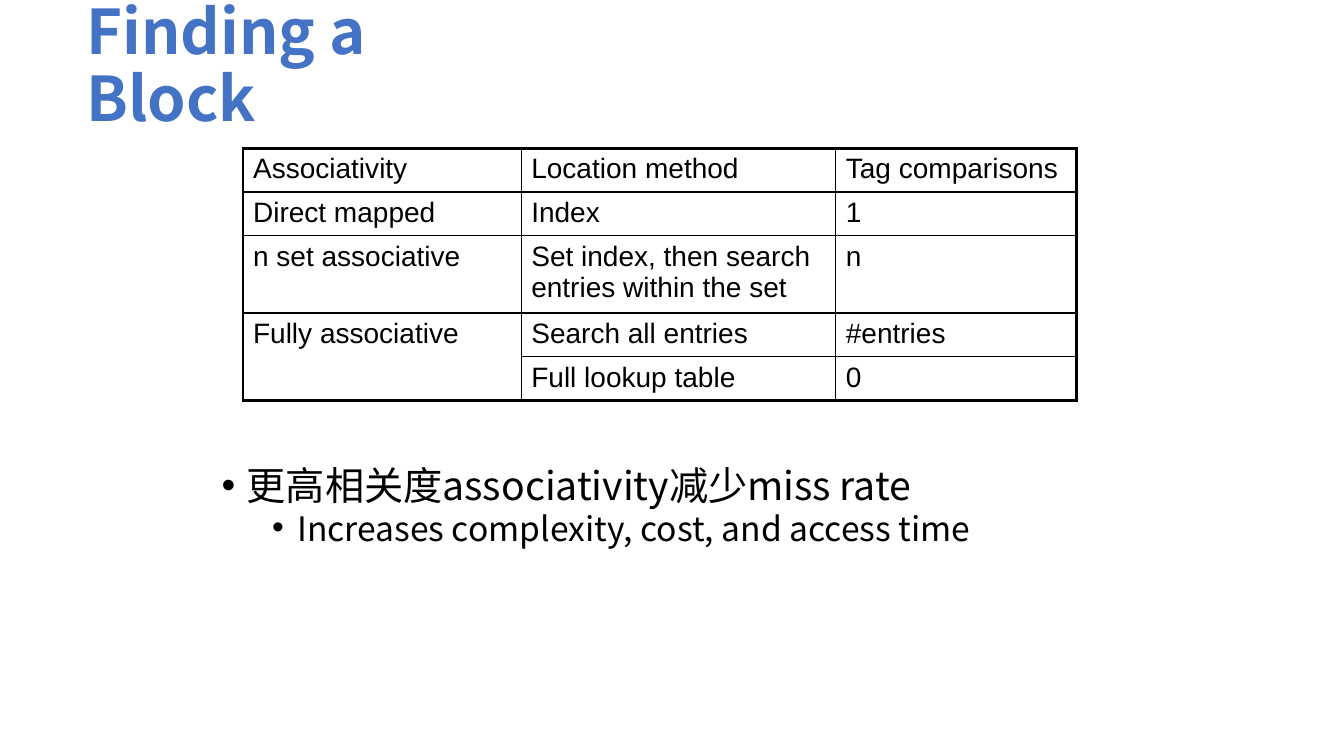
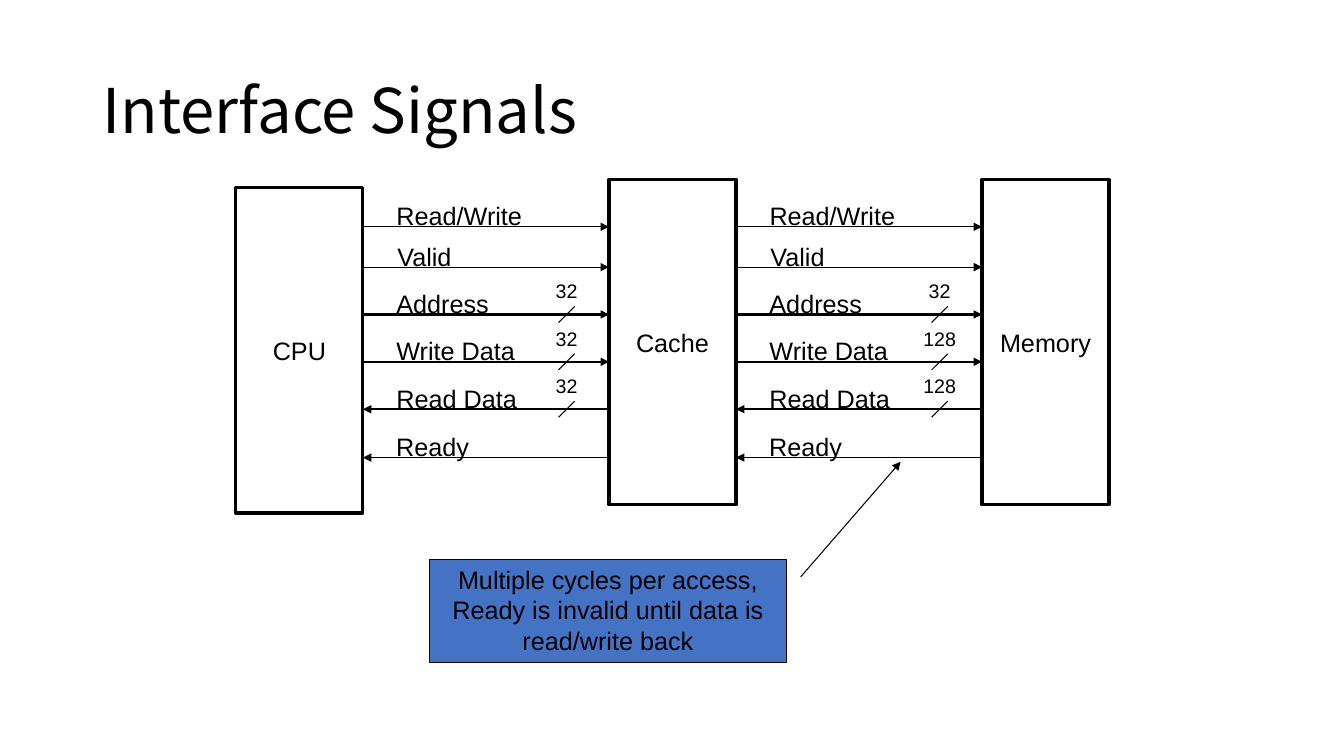
"""Builds two slides about cache lookup and cache interface signals."""
from dataclasses import dataclass

from lxml import etree
from pptx import Presentation
from pptx import util as u
from pptx.dml.color import RGBColor
from pptx.enum import shapes, text
from pptx.oxml.ns import qn


@dataclass(frozen=True)
class Theme:
    """Holds the colours, fonts, type sizes and line widths."""
    ink: RGBColor = RGBColor(0, 0, 0)
    accent: RGBColor = RGBColor(0x44, 0x72, 0xC4)
    heading_font: str = "Noto Sans CJK SC"
    plain_font: str = "Arial"
    title: int = 44
    bullet: int = 28
    sub_bullet: int = 24
    cell: int = 20
    label: int = 18
    bits: int = 14
    thin: float = 0.75
    grid: float = 1
    bus: float = 1.5
    frame: float = 2.25


THEME = Theme()
LABEL_FRAME = {"word_wrap": False, "auto_size": text.MSO_AUTO_SIZE.SHAPE_TO_FIT_TEXT}
NODE_FRAME = {"word_wrap": False, "vertical_anchor": text.MSO_ANCHOR.MIDDLE}
NOTE_FRAME = {"word_wrap": True, "vertical_anchor": text.MSO_ANCHOR.TOP}
TITLE_FRAME = {"word_wrap": True, "vertical_anchor": text.MSO_ANCHOR.MIDDLE}
CENTRED = {"alignment": text.PP_ALIGN.CENTER}

LOOKUP_ROWS = [
    ("Associativity", "Location method", "Tag comparisons"),
    ("Direct mapped", "Index", "1"),
    ("n set associative", "Set index, then search entries within the set", "n"),
    ("Fully associative", "Search all entries", "#entries"),
    ("", "Full lookup table", "0"),
]
COLUMN_WIDTHS = (2.76, 3.12, 2.39)
ROW_HEIGHTS = (0.37, 0.37, 0.48, 0.37, 0.37)

SIGNALS = [
    ("Read/Write", 1.45, 0, "tailEnd"),
    ("Valid", 0.76, 0.4, "tailEnd"),
    ("Address", 1.12, 0.87, "tailEnd"),
    ("Write Data", 1.38, 1.34, "tailEnd"),
    ("Read Data", 1.4, 1.81, "headEnd"),
    ("Ready", 0.92, 2.29, "headEnd"),
]
CPU_BUS = {"Address": "32", "Write Data": "32", "Read Data": "32"}
MEMORY_BUS = {"Address": "32", "Write Data": "128", "Read Data": "128"}


def apply(target, values):
    """Set each named attribute on the target."""
    for name, value in values.items():
        setattr(target, name, value)


def inches(*lengths):
    """Turn numbers into lengths."""
    return [u.Inches(length) for length in lengths]


def write(paragraph, words, size, font=THEME.plain_font, color=THEME.ink, bold=False, **layout):
    """Write one formatted run into a paragraph."""
    apply(paragraph, layout)
    run = paragraph.add_run()
    run.text = words
    apply(run.font, {"name": font, "size": u.Pt(size), "bold": bold})
    run.font.color.rgb = color
    etree.SubElement(run._r.get_or_add_rPr(), qn("a:ea"), typeface=font)


def add_text(slide, box, frame_format):
    """Add a text box and return its text frame."""
    frame = slide.shapes.add_textbox(*inches(*box)).text_frame
    apply(frame, frame_format)
    return frame


def add_title(slide, box, words, **look):
    """Add the slide title."""
    frame = add_text(slide, box, TITLE_FRAME)
    write(frame.paragraphs[0], words, THEME.title, THEME.heading_font, line_spacing=0.9, **look)


def add_bullets(slide, box, items):
    """Add a bulleted list of (words, level, size, space before)."""
    frame = add_text(slide, box, {"word_wrap": True})
    for index, (words, level, size, space) in enumerate(items):
        paragraph = frame.add_paragraph() if index else frame.paragraphs[0]
        write(paragraph, words, size, THEME.heading_font,
              level=level, line_spacing=0.8, space_before=u.Pt(space))
        properties = paragraph._p.get_or_add_pPr()
        properties.set("marL", str(u.Inches(0.25 + 0.5 * level)))
        properties.set("indent", str(u.Inches(-0.25)))
        etree.SubElement(properties, qn("a:buFont"), typeface="Arial")
        etree.SubElement(properties, qn("a:buChar"), char="•")


def set_borders(cell, widths):
    """Draw the cell borders, given widths by side."""
    properties = cell._tc.get_or_add_tcPr()
    for position, (side, width) in enumerate(widths.items()):
        line = etree.Element(qn(f"a:{side}"), w=str(u.Pt(width)))
        fill = etree.SubElement(line, qn("a:solidFill"))
        etree.SubElement(fill, qn("a:srgbClr"), val=str(THEME.ink))
        properties.insert(position, line)


def add_lookup_table(slide, left, top, height):
    """Add the table of lookup methods with a heavy outer frame."""
    row_count, column_count = len(ROW_HEIGHTS), len(COLUMN_WIDTHS)
    size = sum(COLUMN_WIDTHS), height
    holder = slide.shapes.add_table(row_count, column_count, *inches(left, top, *size))
    table = holder.table
    apply(table, {"first_row": False, "horz_banding": False})
    for column, width in zip(table.columns, COLUMN_WIDTHS):
        column.width = u.Inches(width)
    for row, row_height in zip(table.rows, ROW_HEIGHTS):
        row.height = u.Inches(row_height)
    holder.height = u.Inches(height)
    table.cell(3, 0).merge(table.cell(4, 0))
    row_lines = [THEME.frame, THEME.bus] + [THEME.grid] * (row_count - 2) + [THEME.frame]
    column_lines = [THEME.frame] + [THEME.grid] * (column_count - 1) + [THEME.frame]
    for row, entries in enumerate(LOOKUP_ROWS):
        for column, words in enumerate(entries):
            cell = table.cell(row, column)
            cell.fill.background()
            if words:
                write(cell.text_frame.paragraphs[0], words, THEME.cell)
            last_row = row + (cell.span_height if cell.is_merge_origin else 1)
            set_borders(cell, {"lnL": column_lines[column], "lnR": column_lines[column + 1],
                               "lnT": row_lines[row], "lnB": row_lines[last_row]})


def style_line(line, width, arrow=None):
    """Colour a line and give it an arrowhead at one end."""
    line.color.rgb = THEME.ink
    line.width = u.Pt(width)
    if arrow:
        etree.SubElement(line._get_or_add_ln(), qn(f"a:{arrow}"), type="triangle")


def add_line(slide, start, end, width, arrow=None):
    """Add a straight connector."""
    connector = slide.shapes.add_connector(shapes.MSO_CONNECTOR.STRAIGHT, *inches(*start, *end))
    style_line(connector.line, width, arrow)
    etree.SubElement(connector._element.spPr, qn("a:effectLst"))


def add_block(slide, kind, box, words, frame_format, width, fill=None, arrow=None):
    """Add an outlined shape with centred text."""
    shape = slide.shapes.add_shape(kind, *inches(*box))
    shape.shadow.inherit = False
    if fill is None:
        shape.fill.background()
    else:
        shape.fill.solid()
        shape.fill.fore_color.rgb = fill
    style_line(shape.line, width, arrow)
    apply(shape.text_frame, frame_format)
    write(shape.text_frame.paragraphs[0], words, THEME.label, **CENTRED)
    return shape


def add_channel(slide, left, top, width, bus_bits):
    """Add the signal arrows between two units, with bus widths."""
    for name, label_width, offset, arrow in SIGNALS:
        y = top + offset
        bits = bus_bits.get(name)
        add_line(slide, (left, y), (left + width, y), THEME.bus if bits else THEME.thin, arrow)
        label = add_text(slide, (left + 0.23, y - 0.31, label_width, 0.4), LABEL_FRAME)
        write(label.paragraphs[0], name, THEME.label, **CENTRED)
        if bits:
            middle = left + 2.02
            add_line(slide, (middle - 0.08, y + 0.08), (middle + 0.08, y - 0.08), THEME.thin)
            count = add_text(slide, (middle - 0.32, y - 0.4, 0.64, 0.33), LABEL_FRAME)
            write(count.paragraphs[0], bits, THEME.bits, **CENTRED)


def add_ready_note(slide, box):
    """Add the callout that points at the Ready signal."""
    note = add_block(slide, shapes.MSO_SHAPE.LINE_CALLOUT_1, box,
                     "Multiple cycles per access, Ready is invalid until data is read/write back",
                     NOTE_FRAME, THEME.thin, THEME.accent, "tailEnd")
    for index, value in enumerate((0.17, 1.04, -0.95, 1.32)):
        note.adjustments[index] = value


def build_finding_slide(slide):
    """Build the slide on finding a block."""
    add_title(slide, (0.76, 0.21, 4.49, 0.93), "Finding a Block", color=THEME.accent, bold=True)
    add_bullets(slide, (2.1, 4.62, 9.93, 0.93), [
        ("更高相关度associativity减少miss rate", 0, THEME.bullet, 10),
        ("Increases complexity, cost, and access time", 1, THEME.sub_bullet, 5),
    ])
    add_lookup_table(slide, 2.41, 1.47, 2.5)


def build_signals_slide(slide):
    """Build the slide on interface signals."""
    add_title(slide, (0.92, 0.4, 11.5, 1.45), "Interface Signals")
    left, unit_width, pitch = 2.34, 1.26, 3.7
    for index, (name, top) in enumerate((("CPU", 1.86), ("Cache", 1.78), ("Memory", 1.78))):
        add_block(slide, shapes.MSO_SHAPE.RECTANGLE, (left + index * pitch, top, unit_width, 3.23),
                  name, NODE_FRAME, THEME.frame)
    for index, bus_bits in enumerate((CPU_BUS, MEMORY_BUS)):
        add_channel(slide, left + unit_width + index * pitch, 2.25, pitch - unit_width, bus_bits)
    add_ready_note(slide, (4.26, 5.55, 3.54, 1.02))


def main():
    """Build and save the presentation."""
    presentation = Presentation()
    apply(presentation, {"slide_width": u.Inches(13.33), "slide_height": u.Inches(7.5)})
    for build in (build_finding_slide, build_signals_slide):
        build(presentation.slides.add_slide(presentation.slide_layouts[6]))
    presentation.save("out.pptx")


if __name__ == "__main__":
    main()
